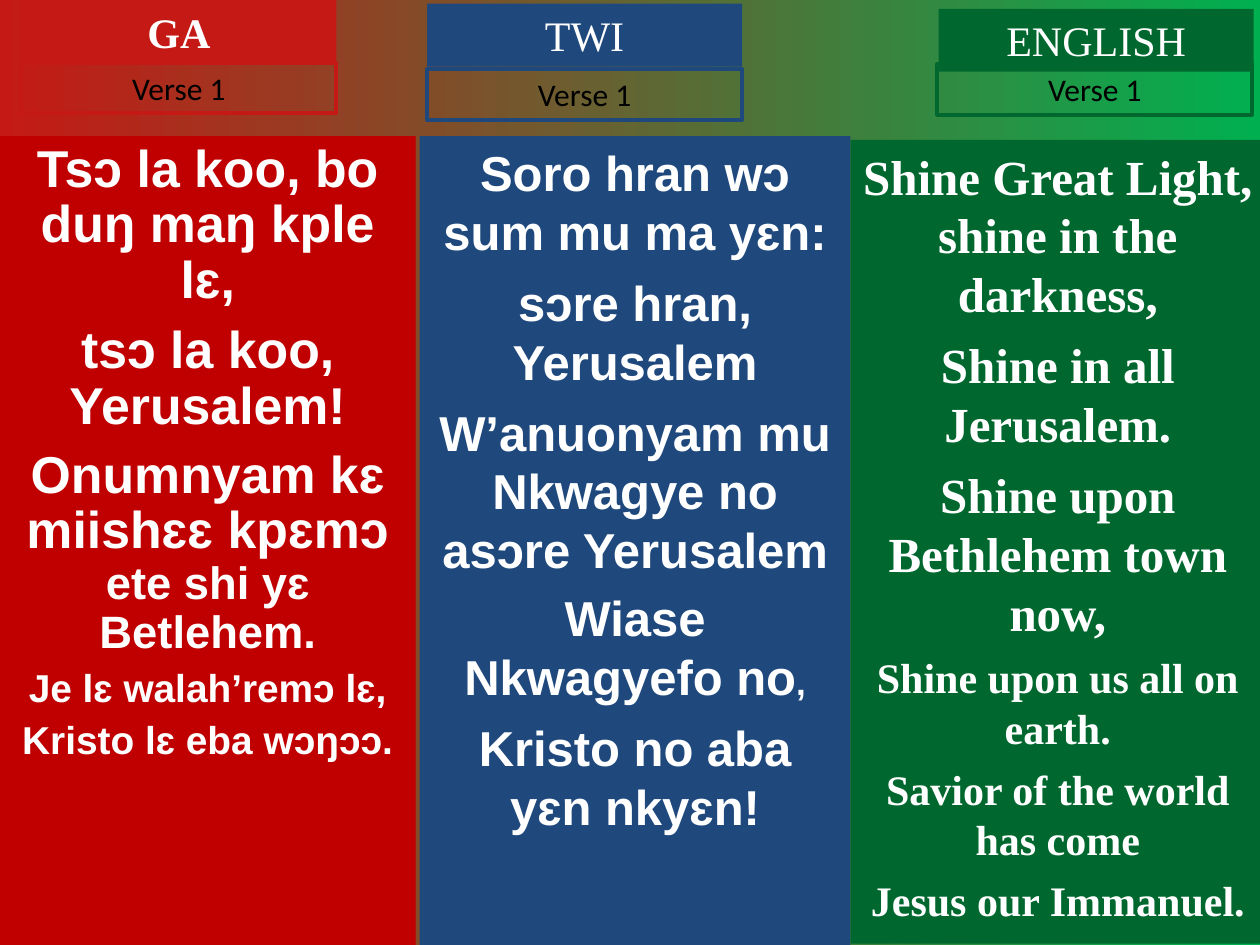
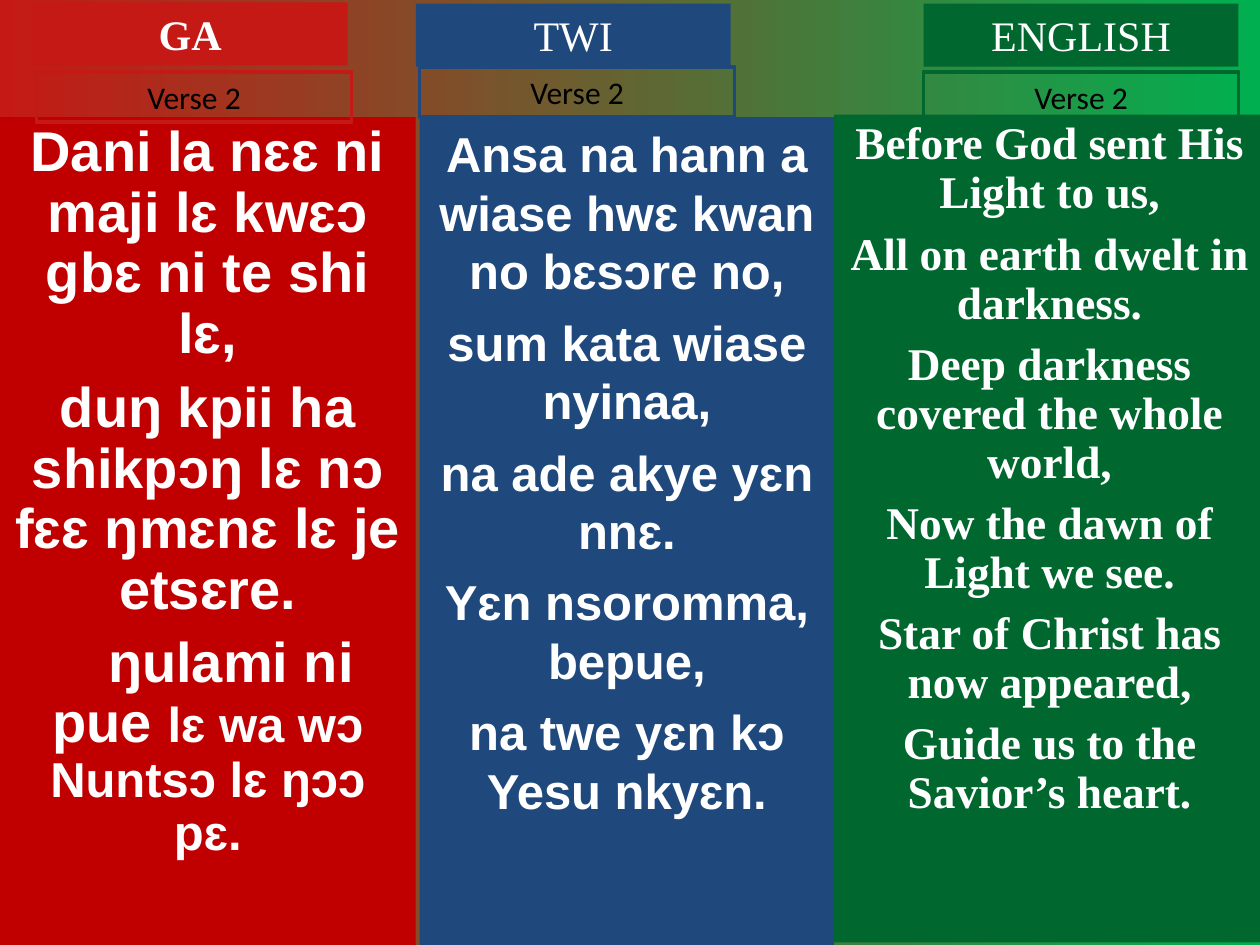
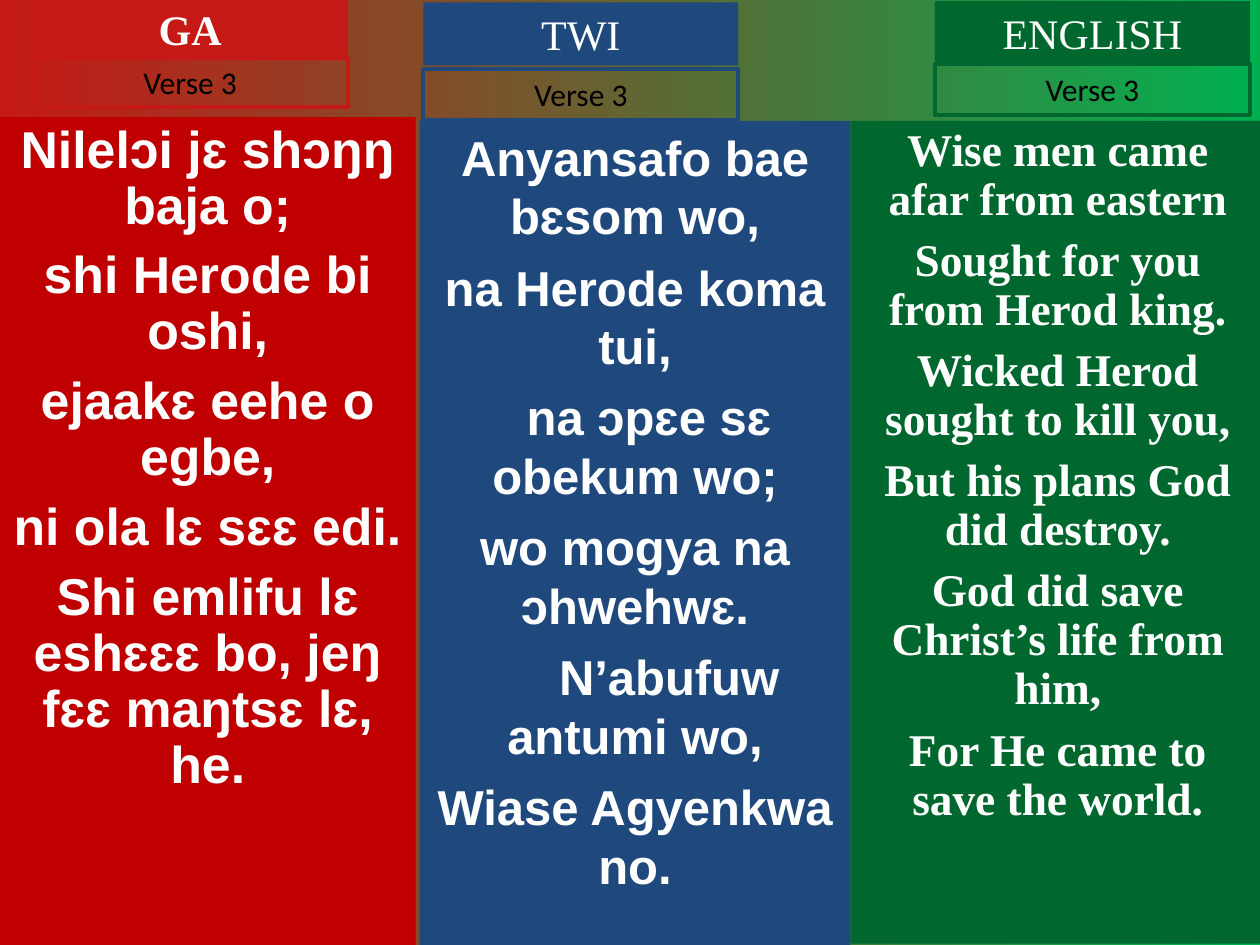
from dataclasses import dataclass

from pptx import Presentation
from pptx.dml.color import RGBColor
from pptx.enum.shapes import MSO_SHAPE
from pptx.enum.text import MSO_ANCHOR, MSO_AUTO_SIZE, PP_ALIGN
from pptx.util import Inches, Pt

WHITE, BLACK = "FFFFFF", "000000"
BACKGROUND = ("C51915", "00B050")
LABEL_SIZE = (2.5, 0.5)
VERSE_SIZE = (2.5, 0.4)


@dataclass
class Language:
    """The look of one language column."""
    name: str
    accent: str
    panel: str
    font: str
    bold_name: bool = False


@dataclass
class Line:
    """One lyric line: (text, size) runs with spacing before and first-line indent."""
    runs: list
    before: float = 7
    indent: float = 0


@dataclass
class Column:
    """The places and lyrics of one language on one slide."""
    panel: tuple
    label: tuple
    verse: tuple
    lyrics: list
    spacing: float = 1.0


LANGUAGES = [
    Language("GA", "C51915", "C00000", "Arial", bold_name=True),
    Language("TWI", "1F497D", "1F497D", "Arial"),
    Language("ENGLISH", "00682F", "00682F", "Times New Roman"),
]


def lines(size, *texts, before=7):
    """Return plain lyric lines of one size."""
    return [Line([(text, size)], before) for text in texts]


VERSES = [
    [
        Column((0, 1.08, 3.3, 6.42), (0.17, 0), (0.17, 0.5), [
            *lines(29.6, "Tsɔ la koo, bo duŋ maŋ kple lɛ,", "tsɔ la koo, Yerusalem!", before=8),
            Line([("Onumnyam kɛ miishɛɛ kpɛmɔ ", 29.6), ("ete shi yɛ Betlehem.", 25.9)]),
            *lines(22.2, "Je lɛ walah’remɔ lɛ,", "Kristo lɛ eba wɔŋɔɔ.", before=6),
        ], 0.9),
        Column((3.33, 1.08, 3.42, 6.42), (3.39, 0.03), (3.39, 0.55), [
            *lines(28, "Soro hran wɔ sum mu ma yɛn:", "sɔre hran, Yerusalem",
                   "W’anuonyam mu Nkwagye no asɔre Yerusalem"),
            Line([("Wiase Nkwagyefo no", 28), (",", 20)], 5),
            *lines(28, "Kristo no aba yɛn nkyɛn!"),
        ]),
        Column((6.75, 1.11, 3.29, 6.38), (7.45, 0.07), (7.44, 0.51), [
            *lines(28, "Shine Great Light, shine in the darkness,",
                   "Shine in all Jerusalem.", "Shine upon Bethlehem town now,"),
            *lines(24, "Shine upon us all on earth.", "Savior of the world has come",
                   "Jesus our Immanuel.", before=6),
        ]),
    ],
    [
        Column((0, 0.93, 3.3, 6.57), (0.26, 0.02), (0.29, 0.57), [
            *lines(32, "Dani la nɛɛ ni maji lɛ kwɛɔ gbɛ ni te shi lɛ,",
                   "duŋ kpii ha shikpɔŋ lɛ nɔ fɛɛ ŋmɛnɛ lɛ je etsɛre.", before=8),
            Line([("ŋulami ni pue ", 32), ("lɛ wa wɔ Nuntsɔ lɛ ŋɔɔ pɛ.", 28)], indent=0.37),
        ], 0.9),
        Column((3.33, 0.93, 3.29, 6.57), (3.3, 0.03), (3.33, 0.53), lines(
            28, "Ansa na hann a wiase hwɛ kwan no bɛsɔre no,", "sum kata wiase nyinaa,",
            "na ade akye yɛn nnɛ.", "Yɛn nsoromma, bepue,", "na twe yɛn kɔ Yesu nkyɛn.")),
        Column((6.62, 0.91, 3.42, 6.57), (7.33, 0.03), (7.33, 0.57), lines(
            25.9, "Before God sent His Light to us,", "All on earth dwelt in darkness.",
            "Deep darkness covered the whole world,", "Now the dawn of Light we see.",
            "Star of Christ has now appeared,", "Guide us to the Savior’s heart."), 0.9),
    ],
    [
        Column((0, 0.93, 3.3, 6.57), (0.26, -0.02), (0.26, 0.45), lines(
            29.6, "Nilelɔi jɛ shɔŋŋ baja o;", "shi Herode bi oshi,", "ejaakɛ eehe o egbe,",
            "ni ola lɛ sɛɛ edi.", "Shi emlifu lɛ eshɛɛɛ bo, jeŋ fɛɛ maŋtsɛ lɛ, he.",
            before=8), 0.9),
        Column((3.33, 0.96, 3.42, 6.54), (3.36, 0.02), (3.36, 0.55), [
            *lines(28, "Anyansafo bae bɛsom wo,", "na Herode koma tui,"),
            Line([("na ɔpɛe sɛ obekum wo;", 28)], indent=0.22),
            *lines(28, "wo mogya na ɔhwehwɛ."),
            Line([("N’abufuw antumi wo,", 28)], indent=0.54),
            *lines(28, "Wiase Agyenkwa no."),
        ]),
        Column((6.75, 0.96, 3.29, 6.53), (7.42, 0.01), (7.42, 0.51), lines(
            25.9, "Wise men came afar from eastern", "Sought for you from Herod king.",
            "Wicked Herod sought to kill you,", "But his plans God did destroy.",
            "God did save Christ’s life from him,", "For He came to save the world."), 0.9),
    ],
]


def rgb(value):
    """Turn a hex string into a colour."""
    return RGBColor.from_string(value)


def write(paragraph, text, *, size, font, color=WHITE, bold=False):
    """Add a centred, formatted run to a paragraph."""
    paragraph.alignment = PP_ALIGN.CENTER
    run = paragraph.add_run()
    run.text = text
    run.font.size = Pt(size)
    run.font.name = font
    run.font.bold = bold
    run.font.color.rgb = rgb(color)


class HymnDeck:
    """Holds the shared style and the slide being built."""

    def __init__(self):
        """Start an empty deck."""
        self.deck = Presentation()
        self.deck.slide_width, self.deck.slide_height = Inches(10), Inches(7.5)
        self.slide = None

    def new_slide(self):
        """Add a blank slide with the shared gradient background."""
        self.slide = self.deck.slides.add_slide(self.deck.slide_layouts[6])
        fill = self.slide.background.fill
        fill.gradient()
        fill.gradient_angle = 0
        for position, (stop, color) in enumerate(zip(fill.gradient_stops, BACKGROUND)):
            stop.position = position
            stop.color.rgb = rgb(color)

    def box(self, place, *, fill=None, line=None, grow=False):
        """Add a rectangle and return its text frame."""
        rectangle = self.slide.shapes.add_shape(MSO_SHAPE.RECTANGLE, *map(Inches, place))
        rectangle.shadow.inherit = False
        if fill:
            rectangle.fill.solid()
            rectangle.fill.fore_color.rgb = rgb(fill)
        else:
            rectangle.fill.background()
        if line:
            rectangle.line.color.rgb = rgb(line)
            rectangle.line.width = Pt(2.25)
        else:
            rectangle.line.fill.background()
        frame = rectangle.text_frame
        frame.word_wrap = True
        frame.vertical_anchor = MSO_ANCHOR.TOP
        if grow:
            frame.auto_size = MSO_AUTO_SIZE.SHAPE_TO_FIT_TEXT
        return frame

    def lyrics(self, language, column):
        """Add the coloured panel with its lyric lines."""
        frame = self.box(column.panel, fill=language.panel)
        for number, line in enumerate(column.lyrics):
            paragraph = frame.add_paragraph() if number else frame.paragraphs[0]
            paragraph.line_spacing = column.spacing
            paragraph.space_before = Pt(line.before if number else 0)
            if line.indent:
                paragraph._p.get_or_add_pPr().set("indent", str(Inches(line.indent)))
            for text, size in line.runs:
                write(paragraph, text, size=size, font=language.font, bold=True)

    def label(self, language, column):
        """Add the language name."""
        frame = self.box(column.label + LABEL_SIZE, fill=language.accent, grow=True)
        write(frame.paragraphs[0], language.name, size=24, font="Times New Roman",
              bold=language.bold_name)

    def verse(self, language, column, number):
        """Add the outlined verse number."""
        frame = self.box(column.verse + VERSE_SIZE, line=language.accent, grow=True)
        write(frame.paragraphs[0], f"Verse {number}", size=18, font="Calibri", color=BLACK)


def main():
    """Build one slide per verse."""
    hymn = HymnDeck()
    for number, columns in enumerate(VERSES, start=1):
        hymn.new_slide()
        for language, column in zip(LANGUAGES, columns):
            hymn.lyrics(language, column)
            hymn.label(language, column)
            hymn.verse(language, column, number)
    hymn.deck.save("out.pptx")


if __name__ == "__main__":
    main()
